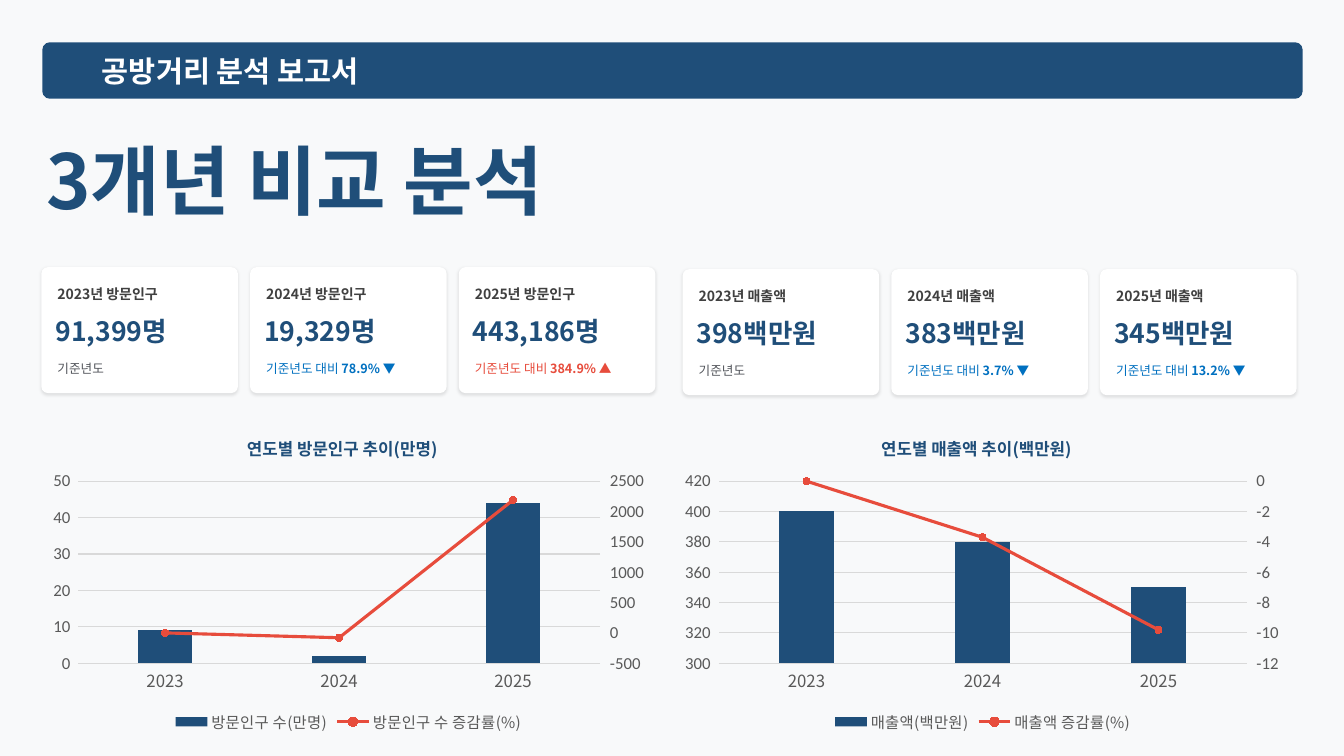
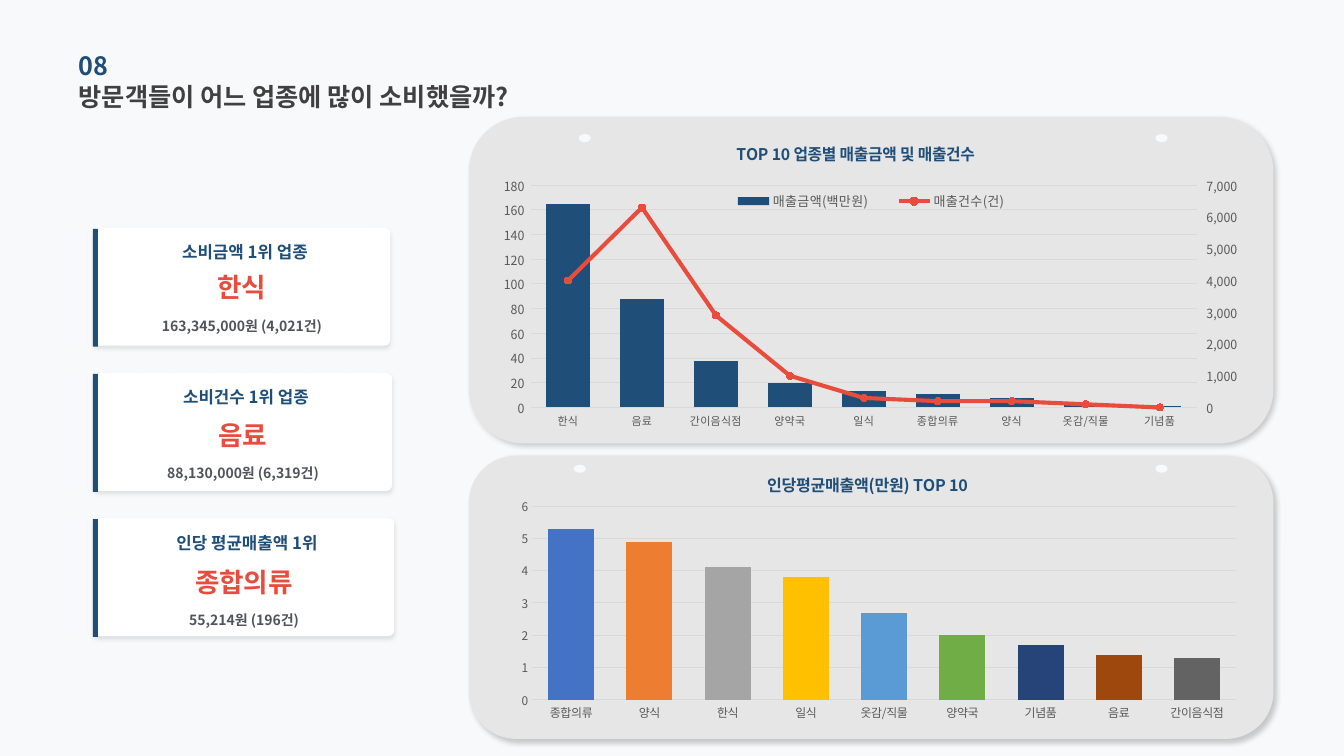
from copy import deepcopy
from dataclasses import dataclass
from typing import NamedTuple

from lxml import etree
from pptx import Presentation
from pptx.chart.axis import CategoryAxis, ValueAxis
from pptx.chart.chart import Chart
from pptx.chart.data import CategoryChartData
from pptx.dml.color import RGBColor
from pptx.enum.chart import XL_CHART_TYPE, XL_LEGEND_POSITION, XL_MARKER_STYLE, XL_TICK_MARK
from pptx.enum.shapes import MSO_SHAPE
from pptx.enum.text import MSO_ANCHOR, MSO_AUTO_SIZE, PP_ALIGN
from pptx.oxml import parse_xml
from pptx.oxml.ns import nsdecls, qn
from pptx.shapes.autoshape import Shape
from pptx.shapes.shapetree import GroupShapes, SlideShapes
from pptx.slide import Slide
from pptx.text.text import Font, TextFrame
from pptx.util import Inches, Pt

ROUND, RECT, OVAL = MSO_SHAPE.ROUNDED_RECTANGLE, MSO_SHAPE.RECTANGLE, MSO_SHAPE.OVAL
LEFT, CENTER, MIDDLE = PP_ALIGN.LEFT, PP_ALIGN.CENTER, MSO_ANCHOR.MIDDLE
TOP, BOTTOM = XL_LEGEND_POSITION.TOP, XL_LEGEND_POSITION.BOTTOM
NO_TICK, OUT_TICK = XL_TICK_MARK.NONE, XL_TICK_MARK.OUTSIDE
COLUMN, DOT = XL_CHART_TYPE.COLUMN_CLUSTERED, XL_MARKER_STYLE.CIRCLE
Shapes = SlideShapes | GroupShapes


@dataclass(frozen=True)
class Theme:
    font: str = "Noto Sans CJK KR"
    digits: str = "Calibri"
    back: RGBColor = RGBColor.from_string("F8F9FA")
    navy: RGBColor = RGBColor.from_string("1F4E79")
    red: RGBColor = RGBColor.from_string("E74C3C")
    blue: RGBColor = RGBColor.from_string("0070C0")
    dark: RGBColor = RGBColor.from_string("404040")
    slate: RGBColor = RGBColor.from_string("51545A")
    gray: RGBColor = RGBColor.from_string("595959")
    rule: RGBColor = RGBColor.from_string("D9D9D9")
    panel: RGBColor = RGBColor.from_string("E7E6E6")
    white: RGBColor = RGBColor.from_string("FFFFFF")
    black: RGBColor = RGBColor.from_string("000000")
    bars: tuple[str, ...] = ("4472C4", "ED7D31", "A5A5A5", "FFC000", "5B9BD5",
                             "70AD47", "264478", "9E480E", "636363")
    hero: float = 54
    band: float = 21
    figure: float = 19
    head: float = 18
    label: float = 12
    small: float = 10
    note: float = 9


THEME = Theme()


class Box(NamedTuple):
    x: float
    y: float
    w: float
    h: float


class Piece(NamedTuple):
    text: str
    size: float
    color: RGBColor
    bold: bool = True


class Shade(NamedTuple):
    alpha: int
    blur: float
    dist: float
    angle: int


class Card(NamedTuple):
    label: str
    figure: str
    change: str = ""
    color: RGBColor = THEME.blue
    width: float = 1.08


class Span(NamedTuple):
    low: float
    high: float
    step: float
    code: str = "General"


class Data(NamedTuple):
    name: str
    values: tuple[float, ...]
    span: Span


@dataclass(frozen=True)
class Graph:
    box: Box
    title: str
    spot: tuple[float, float]
    plot: Box
    cats: tuple[str, ...]
    bars: Data
    line: Data | None = None
    weight: float = 2.25
    gap: int = 70
    size: float = 11.5
    cat_size: float = 8.5
    val_size: float = 8.5
    val_font: str = THEME.font
    key_size: float = 9.5
    key_box: Box | None = None


def style(font: Font, size: float, color: RGBColor, bold: bool = False,
          face: str = THEME.font) -> None:
    font.size, font.bold = Pt(size), bold
    font.color.rgb = color
    font.name = face
    etree.SubElement(font._rPr, qn("a:ea"), typeface=face)


def write(frame: TextFrame, *pieces: Piece, align: PP_ALIGN = LEFT, indent: float = 0) -> None:
    frame.auto_size, frame.word_wrap = MSO_AUTO_SIZE.NONE, True
    frame.vertical_anchor = MIDDLE
    frame.margin_left = Inches(indent)
    frame.margin_right = frame.margin_top = frame.margin_bottom = 0
    frame.text = pieces[0].text
    para = frame.paragraphs[0]
    para.alignment = align
    for piece in pieces[1:]:
        para.add_run().text = piece.text
    for run, piece in zip(para.runs, pieces):
        style(run.font, piece.size, piece.color, piece.bold)


def add_text(shapes: Shapes, box: Box, *pieces: Piece, align: PP_ALIGN = LEFT) -> None:
    write(shapes.add_textbox(*map(Inches, box)).text_frame, *pieces, align=align)


def add_block(shapes: Shapes, kind: MSO_SHAPE, box: Box, color: RGBColor,
              bend: float | None = None, shade: Shade | None = None) -> Shape:
    block = shapes.add_shape(kind, *map(Inches, box))
    block.fill.solid()
    block.fill.fore_color.rgb = color
    block.line.fill.background()
    block.shadow.inherit = False
    if bend is not None:
        block.adjustments[0] = bend
    if shade:
        block._element.spPr.find(qn("a:effectLst")).append(parse_xml(
            f'<a:outerShdw {nsdecls("a")} blurRad="{Pt(shade.blur)}" dist="{Pt(shade.dist)}" '
            f'dir="{shade.angle * 60000}" algn="tl" rotWithShape="0"><a:srgbClr val="000000">'
            f'<a:alpha val="{shade.alpha * 1000}"/></a:srgbClr></a:outerShdw>'))
    return block


def set_title(slide: Slide, box: Box, piece: Piece) -> None:
    title = slide.shapes.title
    title.left, title.top, title.width, title.height = map(Inches, box)
    write(title.text_frame, piece)
    title.text_frame.paragraphs[0].runs[0].font._rPr.set("kern", "0")


def lay_out(part: etree._Element, spot: tuple[float, ...], inner: bool = False) -> None:
    """Fix a chart part at x, y and, if given, w, h as shares of the chart."""
    layout = part.find(qn("c:layout"))
    if layout is None:
        layout = parse_xml(f'<c:layout {nsdecls("c")}/>')
        before = part.find(qn("c:legendPos"))
        if before is None:
            part.insert(0, layout)
        else:
            before.addnext(layout)
    manual = etree.SubElement(layout, qn("c:manualLayout"))
    if inner:
        etree.SubElement(manual, qn("c:layoutTarget"), val="inner")
    for tag in ("xMode", "yMode"):
        etree.SubElement(manual, qn(f"c:{tag}"), val="edge")
    for tag, share in zip("xywh", spot):
        etree.SubElement(manual, qn(f"c:{tag}"), val=str(share))


def scale(axis: ValueAxis, span: Span) -> None:
    axis.minimum_scale, axis.maximum_scale = span.low, span.high
    axis.major_unit = span.step
    axis.tick_labels.number_format = span.code
    axis.tick_labels.number_format_is_linked = False


def add_line(chart: Chart, line: Data, weight: float) -> None:
    """Turn the second bar series into a line on a right-hand axis."""
    cat, val = chart.category_axis._element, chart.value_axis._element
    area, bars = cat.getparent(), chart.plots[0]._element
    row = bars.findall(qn("c:ser"))[1]
    for old in row.findall(qn("c:invertIfNegative")):
        row.remove(old)
    plot = parse_xml(
        f'<c:lineChart {nsdecls("c")}><c:grouping val="standard"/><c:varyColors val="0"/>'
        '<c:marker val="1"/><c:axId val="5001"/><c:axId val="5002"/></c:lineChart>')
    plot.insert(2, row)
    bars.addnext(plot)
    right, base = deepcopy(val), deepcopy(cat)
    val.addnext(right)
    right.addnext(base)
    for axis, own, other in ((base, "5001", "5002"), (right, "5002", "5001")):
        axis.find(qn("c:axId")).set("val", own)
        axis.find(qn("c:crossAx")).set("val", other)
    right.find(qn("c:axPos")).set("val", "r")
    right.find(qn("c:crosses")).set("val", "max")
    side = ValueAxis(right)
    side.has_major_gridlines = False
    side.major_tick_mark = OUT_TICK
    scale(side, line.span)
    CategoryAxis(base).visible = False
    curve = chart.plots[1].series[0]
    curve.smooth = False
    curve.format.line.color.rgb = THEME.red
    curve.format.line.width = Pt(weight)
    curve.marker.style, curve.marker.size = DOT, 5
    for fill in (curve.marker.format.fill, curve.marker.format.line.fill):
        fill.solid()
        fill.fore_color.rgb = THEME.red


def add_graph(slide: Slide, graph: Graph) -> None:
    data = CategoryChartData()
    data.categories = graph.cats
    for row in filter(None, (graph.bars, graph.line)):
        data.add_series(row.name, row.values)
    chart = slide.shapes.add_chart(COLUMN, *map(Inches, graph.box), data).chart
    style(chart.font, THEME.small, THEME.black, face=THEME.digits)
    chart.has_title = True
    frame = chart.chart_title.text_frame
    frame.text = graph.title
    style(frame.paragraphs[0].runs[0].font, graph.size, THEME.navy, True)
    lay_out(chart.chart_title._element, graph.spot)

    plot, cat, val = chart.plots[0], chart.category_axis, chart.value_axis
    plot.gap_width, plot.overlap, plot.vary_by_categories = graph.gap, -27, False
    cat.major_tick_mark = val.major_tick_mark = NO_TICK
    style(cat.tick_labels.font, graph.cat_size, THEME.gray)
    style(val.tick_labels.font, graph.val_size, THEME.gray, face=graph.val_font)
    val.has_major_gridlines = True
    for edge in (cat.format.line, val.major_gridlines.format.line):
        edge.color.rgb, edge.width = THEME.rule, Pt(0.75)
    val.format.line.fill.background()
    scale(val, graph.bars.span)
    lay_out(cat._element.getparent(), graph.plot, inner=True)

    bars = plot.series[0]
    bars.format.fill.solid()
    bars.format.fill.fore_color.rgb = THEME.navy
    chart.has_legend = graph.line is not None
    if graph.line:
        add_line(chart, graph.line, graph.weight)
        key = chart.legend
        key.position = TOP if graph.key_box else BOTTOM
        key.include_in_layout = False
        style(key.font, graph.key_size, THEME.gray)
        if graph.key_box:
            lay_out(key._element, graph.key_box)
    else:
        for i, color in enumerate(THEME.bars):
            fill = bars.points[i].format.fill
            fill.solid()
            fill.fore_color.rgb = RGBColor.from_string(color)


def add_card(slide: Slide, x: float, y: float, card: Card) -> None:
    shapes = slide.shapes
    add_block(shapes, ROUND, Box(x, y, 1.95, 1.25), THEME.white, 0.053, Shade(10, 2, 1, 90))
    add_text(shapes, Box(x + 0.16, y + 0.18, card.width, 0.17),
             Piece(card.label, THEME.small, THEME.dark))
    add_text(shapes, Box(x + 0.14, y + 0.49, 1.95, 0.29),
             Piece(card.figure, THEME.figure, THEME.navy))
    note = [Piece("기준년도", THEME.note, THEME.slate, False)]
    if card.change:
        note = [Piece("기준년도 대비 ", THEME.note, card.color, False),
                Piece(card.change, THEME.note, card.color)]
    add_text(shapes, Box(x + 0.16, y + 0.9, 1.75, 0.21), *note)


def add_rank(slide: Slide, i: int, label: str, winner: str, detail: str) -> None:
    x, y, wide, drop = 0.93, 2.26 + 1.44 * i, 2.94 + 0.02 * i, 0.02 * (i - 1)
    shapes = slide.shapes.add_group_shape().shapes
    add_block(shapes, ROUND, Box(x, y, wide, 1.17), THEME.white, 0.048, Shade(10, 3, 2, 90))
    for dx, dy, high, piece in (
            (0.03, 0.13, 0.22, Piece(label, THEME.label, THEME.navy)),
            (0, 0.44 + drop, 0.34, Piece(winner, THEME.figure, THEME.red)),
            (0, 0.91 + drop, 0.17, Piece(detail, THEME.small, THEME.slate))):
        add_text(shapes, Box(x + dx, y + dy, wide, high), piece, align=CENTER)
    add_block(slide.shapes, RECT, Box(x - 0.01, y + 0.01, 0.05, 1.17), THEME.navy)


def build_years(slide: Slide) -> None:
    set_title(slide, Box(0.46, 1.23, 6.32, 1.09), Piece("3개년 비교 분석", THEME.hero, THEME.navy))
    band = add_block(slide.shapes, ROUND, Box(0.42, 0.42, 12.5, 0.56), THEME.navy, 0.132)
    write(band.text_frame, Piece("공방거리 분석 보고서", THEME.band, THEME.white), indent=0.57)
    visits = (Card("2023년 방문인구", "91,399명"),
              Card("2024년 방문인구", "19,329명", "78.9% ▼"),
              Card("2025년 방문인구", "443,186명", "384.9% ▲", THEME.red, 1.0))
    sales = (Card("2023년 매출액", "398백만원"),
             Card("2024년 매출액", "383백만원", "3.7% ▼"),
             Card("2025년 매출액", "345백만원", "13.2% ▼"))
    for x, y, cards in ((0.41, 2.65, visits), (6.77, 2.67, sales)):
        for i, card in enumerate(cards):
            add_card(slide, x + 2.07 * i, y, card)
    years = ("2023", "2024", "2025")
    look = dict(spot=(0.33, 0.04), cats=years, gap=219, size=THEME.label, cat_size=12,
                val_size=12, val_font=THEME.digits, key_size=11)
    add_graph(slide, Graph(
        Box(0.41, 4.14, 6.09, 3.17), "연도별 방문인구 추이(만명)", plot=Box(0.06, 0.2, 0.85, 0.57),
        bars=Data("방문인구 수(만명)", (9, 2, 44), Span(0, 50, 10, "#,##0_ ")),
        line=Data("방문인구 수 증감률(%)", (0, -80, 2190), Span(-500, 2500, 500)), **look))
    add_graph(slide, Graph(
        Box(6.7, 4.14, 6.09, 3.17), "연도별 매출액 추이(백만원)", plot=Box(0.07, 0.2, 0.86, 0.57),
        bars=Data("매출액(백만원)", (400, 380, 350), Span(300, 420, 20, "#,##0_ ")),
        line=Data("매출액 증감률(%)", (0, -3.7, -9.8), Span(-12, 0, 2)), **look))


def build_trades(slide: Slide) -> None:
    for y, high in ((4.52, 2.81), (1.16, 3.24)):
        add_block(slide.shapes, ROUND, Box(4.65, y, 7.98, high), THEME.panel,
                  shade=Shade(20, 4, 3, 45))
    set_title(slide, Box(0.78, 0.75, 4.52, 0.41),
              Piece("방문객들이 어느 업종에 많이 소비했을까?", THEME.head, THEME.dark))
    add_text(slide.shapes, Box(0.78, 0.44, 4.52, 0.41), Piece("08", THEME.head, THEME.navy))
    ranks = (("소비금액 1위 업종", "한식", "163,345,000원 (4,021건)"),
             ("소비건수 1위 업종", "음료", "88,130,000원 (6,319건)"),
             ("인당 평균매출액 1위", "종합의류", "55,214원 (196건)"))
    for i, rank in enumerate(ranks):
        add_rank(slide, i, *rank)
    add_graph(slide, Graph(
        Box(4.98, 1.24, 7.32, 3.15), "TOP 10 업종별 매출금액 및 매출건수", (0.32, 0.04),
        Box(0.04, 0.19, 0.92, 0.7),
        ("한식", "음료", "간이음식점", "양약국", "일식", "종합의류", "양식", "옷감/직물", "기념품"),
        Data("매출금액(백만원)", (165, 88, 38, 20, 13, 11, 8, 3, 1), Span(0, 180, 20, "#,##0_ ")),
        Data("매출건수(건)", (4000, 6300, 2900, 1000, 300, 200, 200, 100, 0),
             Span(0, 7000, 1000, "#,##0_ ")),
        weight=3, cat_size=8, val_size=9, key_box=Box(0.29, 0.2, 0.44, 0.08)))
    add_graph(slide, Graph(
        Box(4.98, 4.54, 7.43, 2.67), "인당평균매출액(만원) TOP 10", (0.35, 0.04),
        Box(0.04, 0.18, 0.94, 0.72),
        ("종합의류", "양식", "한식", "일식", "옷감/직물", "양약국", "기념품", "음료", "간이음식점"),
        Data("인당평균매출액(만원)", (5.3, 4.9, 4.1, 3.8, 2.7, 2, 1.7, 1.4, 1.3), Span(0, 6, 1))))
    for x, y in ((5.74, 1.33), (11.46, 1.33), (5.69, 4.61), (11.46, 4.61)):
        add_block(slide.shapes, OVAL, Box(x, y, 0.12, 0.08), THEME.back)


def main() -> None:
    deck = Presentation()
    deck.slide_width, deck.slide_height = Inches(13.33), Inches(7.5)
    fill = deck.slide_master.background.fill
    fill.solid()
    fill.fore_color.rgb = THEME.back
    for build in (build_years, build_trades):
        build(deck.slides.add_slide(deck.slide_layouts[5]))
    deck.save("out.pptx")


if __name__ == "__main__":
    main()
